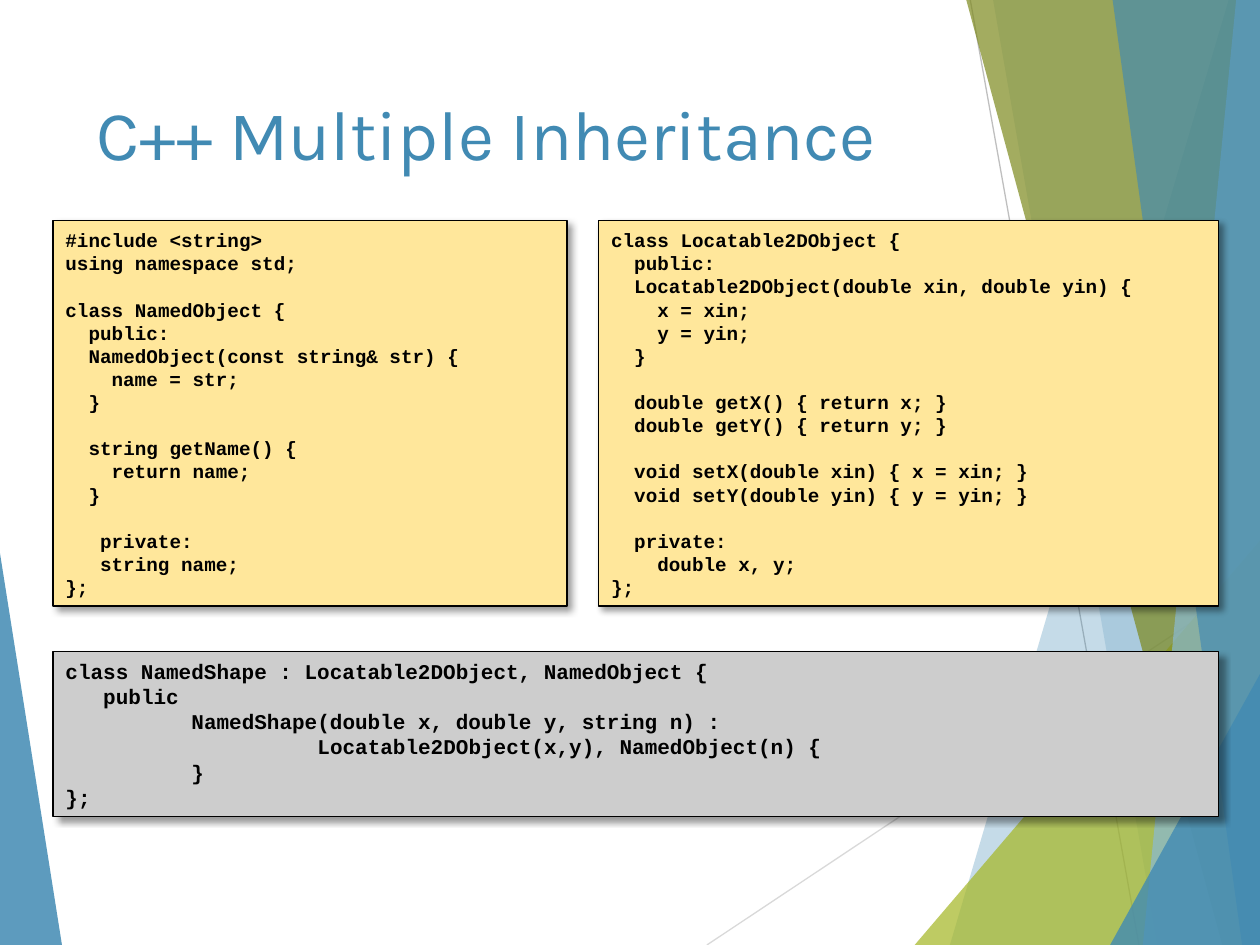
from lxml import etree
from pptx import Presentation
from pptx.dml.color import RGBColor
from pptx.enum.shapes import MSO_CONNECTOR, MSO_SHAPE
from pptx.enum.text import MSO_ANCHOR, PP_ALIGN
from pptx.oxml.ns import qn
from pptx.util import Cm, Pt

STRAIGHT = MSO_CONNECTOR.STRAIGHT
RECTANGLE = MSO_SHAPE.RECTANGLE
TOP, MIDDLE = MSO_ANCHOR.TOP, MSO_ANCHOR.MIDDLE
LEFT = PP_ALIGN.LEFT

WIDTH, HEIGHT = 25.4, 19.05
BLUE, LIME, OLIVE, PALE_BLUE = "418AB3", "A6B727", "7D891D", "8ABAD4"
BLACK, YELLOW, GREY = "000000", "FFE79B", "CDCDCD"

TITLE = "C++ Multiple Inheritance"

LEFT_WEDGE = (0, 11.15, 1.25, 0, BLUE, 85)
RIGHT_WEDGES = [
    (24.77, 0, 19.15, WIDTH, BLUE, 30),
    (20.02, 0, 23.34, WIDTH, BLUE, 20),
    (WIDTH, 10.9, 18.44, WIDTH, LIME, 72),
    (19.48, 0, 24.64, WIDTH, OLIVE, 70),
    (24.92, 0, 23.04, WIDTH, PALE_BLUE, 70),
    (22.43, 0, 25.04, WIDTH, BLUE, 65),
    (WIDTH, 13.59, 22.38, WIDTH, BLUE, 80),
]
THIN_LINES = [
    (14.25, HEIGHT, WIDTH, 11.63, "D9D9D9"),
    (19.56, 0, 22.96, HEIGHT, "BFBFBF"),
]

NAMED_OBJECT = """#include <string>
using namespace std;

class NamedObject {
  public:
  NamedObject(const string& str) {
    name = str;
  }

  string getName() {
    return name;
  }

   private:
   string name;
};"""

LOCATABLE_OBJECT = """class Locatable2DObject {
  public:
  Locatable2DObject(double xin, double yin) {
    x = xin;
    y = yin;
  }

  double getX() { return x; }
  double getY() { return y; }

  void setX(double xin) { x = xin; }
  void setY(double yin) { y = yin; }

  private:
    double x, y;
};"""

NAMED_SHAPE = """class NamedShape : Locatable2DObject, NamedObject {
   public
          NamedShape(double x, double y, string n) :
                    Locatable2DObject(x,y), NamedObject(n) {
          }
};"""

CODE_BOXES = [
    (1.07, 4.45, 10.36, 7.77, YELLOW, 11, NAMED_OBJECT),
    (12.07, 4.45, 12.5, 7.77, YELLOW, 11, LOCATABLE_OBJECT),
    (1.07, 13.13, 23.5, 3.33, GREY, 12, NAMED_SHAPE),
]


def color(value):
    return RGBColor.from_string(value)


def style(para, font, size, value, bold=False):
    para.alignment = LEFT
    for span in para.runs:
        span.font.name = font
        span.font.size = Pt(size)
        span.font.bold = bold
        span.font.color.rgb = color(value)


def add_wedge(page, top_x, top_y, bottom_x, edge_x, value, opacity):
    corners = [(bottom_x, HEIGHT), (edge_x, HEIGHT), (edge_x, top_y)]
    builder = page.shapes.build_freeform(Cm(top_x), Cm(top_y))
    builder.add_line_segments([(Cm(x), Cm(y)) for x, y in corners])
    wedge = builder.convert_to_shape()
    wedge.shadow.inherit = False
    wedge.line.fill.background()
    wedge.fill.solid()
    wedge.fill.fore_color.rgb = color(value)
    tint = wedge.fill._xPr.find(qn("a:solidFill"))[0]
    etree.SubElement(tint, qn("a:alpha"), val=str(opacity * 1000))


def add_thin_line(page, x1, y1, x2, y2, value):
    line = page.shapes.add_connector(STRAIGHT, Cm(x1), Cm(y1), Cm(x2), Cm(y2))
    line.line.color.rgb = color(value)
    line.line.width = Pt(0.75)
    etree.SubElement(line._element.spPr, qn("a:effectLst"))


def add_shadow(box):
    box.shadow.inherit = False
    effects = box._element.spPr.find(qn("a:effectLst"))
    shadow = etree.SubElement(effects, qn("a:outerShdw"), blurRad=str(Pt(4)),
                              dist=str(Pt(3)), dir=str(45 * 60000), algn="tl", rotWithShape="0")
    tint = etree.SubElement(shadow, qn("a:srgbClr"), val=BLACK)
    etree.SubElement(tint, qn("a:alpha"), val="40000")


def write_code(frame, code, size):
    gap = 0
    para = frame.paragraphs[0]
    for number, line in enumerate(code.split("\n")):
        text = line.lstrip()
        if not text:
            gap += size * 1.2
            continue
        if number:
            para = frame.add_paragraph()
        para.text = text
        para.line_spacing = Pt(size * 1.2)
        para.space_before = Pt(gap)
        indent = Pt((len(line) - len(text)) * size * 0.6)
        para._p.get_or_add_pPr().set("marL", str(indent))
        style(para, "Courier New", size, BLACK, True)
        gap = 0


def add_code_box(page, left, top, width, height, value, size, code):
    box = page.shapes.add_shape(RECTANGLE, Cm(left), Cm(top), Cm(width), Cm(height))
    box.fill.solid()
    box.fill.fore_color.rgb = color(value)
    box.line.color.rgb = color(BLACK)
    box.line.width = Pt(0.75)
    add_shadow(box)
    box.text_frame.word_wrap = True
    box.text_frame.vertical_anchor = MIDDLE
    write_code(box.text_frame, code, size)


deck = Presentation()
deck.slide_width, deck.slide_height = Cm(WIDTH), Cm(HEIGHT)
page = deck.slides.add_slide(deck.slide_layouts[6])

add_wedge(page, *LEFT_WEDGE)
for thin_line in THIN_LINES:
    add_thin_line(page, *thin_line)
for wedge in RIGHT_WEDGES:
    add_wedge(page, *wedge)

title = page.shapes.add_textbox(Cm(1.7), Cm(1.7), Cm(17.63), Cm(3.66))
title.text_frame.word_wrap = True
title.text_frame.vertical_anchor = TOP
title.text_frame.text = TITLE
style(title.text_frame.paragraphs[0], "Karla", 40, BLUE)

for code_box in CODE_BOXES:
    add_code_box(page, *code_box)

deck.save("out.pptx")
